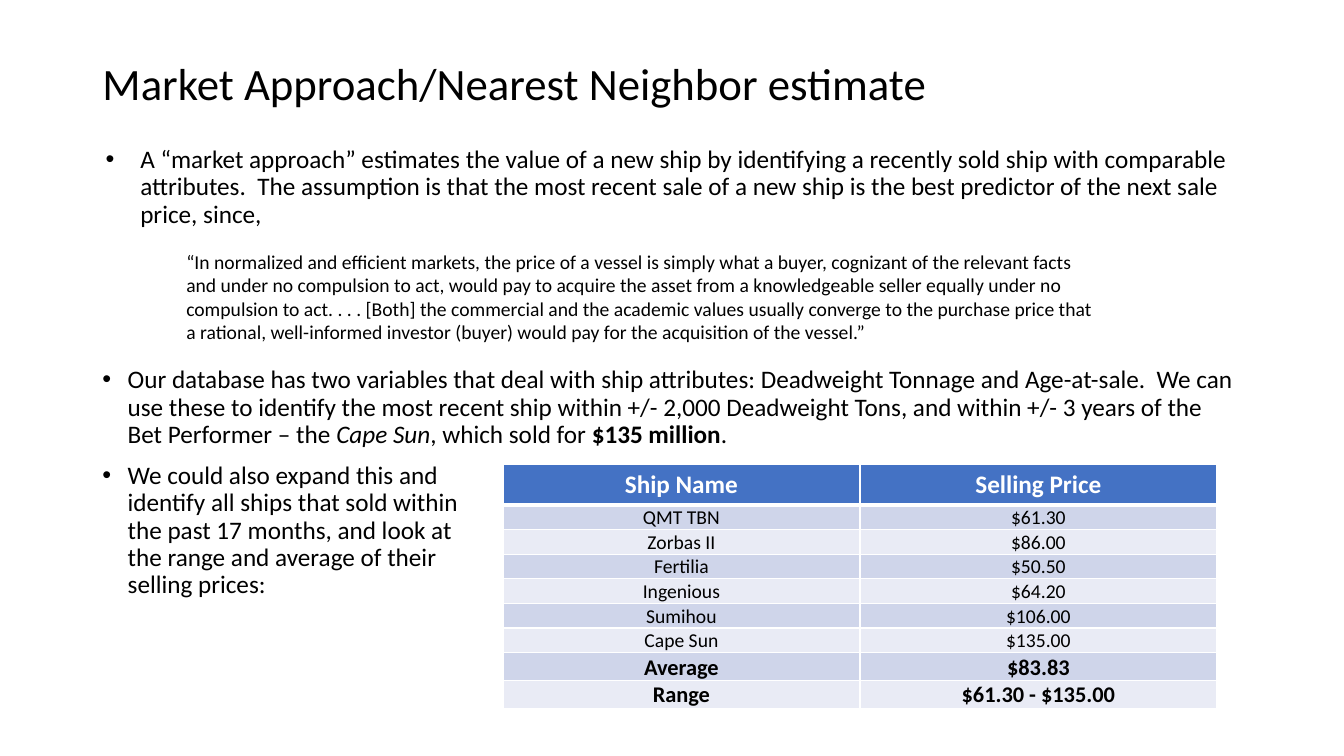
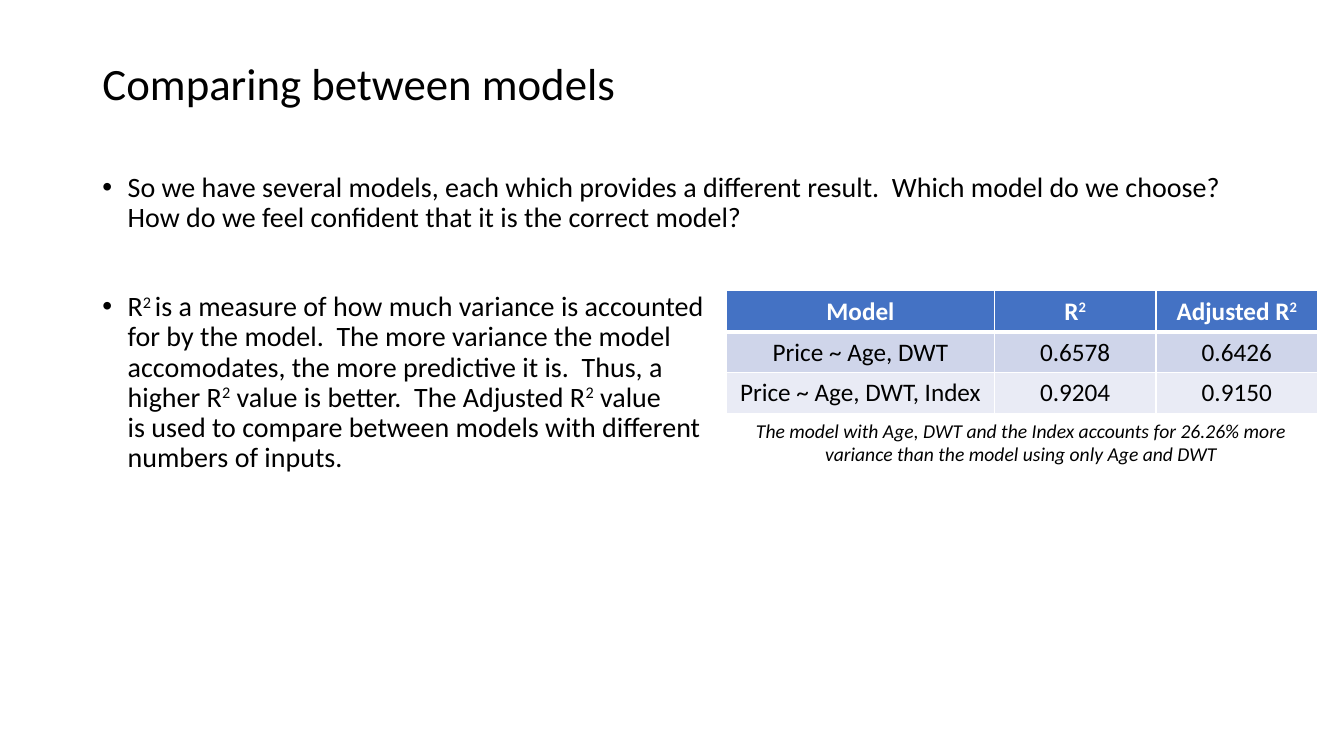
from lxml import etree
from pptx import Presentation
from pptx import util as u
from pptx.dml.color import RGBColor
from pptx.enum import text as t
from pptx.oxml.ns import qn

PX = 9525
FONT = "Calibri"
BLACK = RGBColor(0x00, 0x00, 0x00)
WHITE = RGBColor(0xFF, 0xFF, 0xFF)
HEADER = RGBColor(0x44, 0x72, 0xC4)
BANDS = [RGBColor(0xCF, 0xD5, 0xEA), RGBColor(0xE9, 0xEB, 0xF5)]

SLIDE_SIZE = (1280, 720)
TITLE_AREA = (88, 28, 1104, 108)
CELL_INSET = (10, 5, 10, 5)
TIGHT_INSET = (1, 1, 1, 0)
SQUARED = ("2", "super")

MARKET = {
    "title": "Market Approach/Nearest Neighbor estimate",
    "body_area": (88, 135, 1104, 489),
    "body_size": 18,
    "bullets": [
        {"before": 0, "margin": 36, "hang": 33, "spans": [
            ("A “market approach” estimates the value of a new ship by identifying a recently "
             "sold ship with comparable attributes.  The assumption is that the most recent sale "
             "of a new ship is the best predictor of the next sale price, since,", "")]},
        {"before": 99, "margin": 24, "hang": 24, "spans": [
            ("Our database has two variables that deal with ship attributes: Deadweight Tonnage "
             "and Age-at-sale.  We can use these to identify the most recent ship within "
             "+/- 2,000 Deadweight Tons, and within +/- 3 years of the Bet Performer – the ", ""),
            ("Cape Sun", "italic"), (", which sold for ", ""),
            ("$135 million", "bold"), (".", "")]},
        {"before": 10, "margin": 24, "hang": 24, "spans": [
            ("We could also expand this and\nidentify all ships that sold within\n"
             "the past 17 months, and look at\nthe range and average of their\n"
             "selling prices:", "")]},
    ],
    "note": {"area": (168, 233, 885, 100), "align": t.PP_ALIGN.LEFT, "style": "", "text": (
        "“In normalized and efficient markets, the price of a vessel is simply what a buyer, "
        "cognizant of the relevant facts and under no compulsion to act, would pay to acquire "
        "the asset from a knowledgeable seller equally under no compulsion to act. . . . [Both] "
        "the commercial and the academic values usually converge to the purchase price that a "
        "rational, well-informed investor (buyer) would pay for the acquisition of the vessel.”")},
    "table": {
        "origin": (479, 442), "columns": [340, 340], "anchor": t.MSO_ANCHOR.MIDDLE,
        "inset": TIGHT_INSET, "header": ["Ship Name", "Selling Price"], "header_height": 39,
        "groups": [
            {"height": 23, "size": 14, "style": "", "rows": [
                ("QMT TBN", "$61.30"), ("Zorbas II", "$86.00"), ("Fertilia", "$50.50"),
                ("Ingenious", "$64.20"), ("Sumihou", "$106.00"), ("Cape Sun", "$135.00")]},
            {"height": 26, "size": 16, "style": "bold", "rows": [
                ("Average", "$83.83"), ("Range", "$61.30 - $135.00")]},
        ],
    },
}

MODELS = {
    "title": "Comparing between models",
    "body_area": (88, 160, 1104, 489),
    "body_size": 20,
    "bullets": [
        {"before": 0, "margin": 24, "hang": 24, "spans": [
            ("So we have several models, each which provides a different result.  Which model do "
             "we choose?  How do we feel confident that it is the correct model?", "")]},
        {"before": 42, "margin": 24, "hang": 24, "spans": [
            ("R", ""), ("2 ", "super"),
            ("is a measure of how much variance is accounted\n"
             "for by the model.  The more variance the model\n"
             "accomodates, the more predictive it is.  Thus, a\nhigher R", ""), SQUARED,
            (" value is better.  The Adjusted R", ""), SQUARED,
            (" value\nis used to compare between models with different\n"
             "numbers of inputs.", "")]},
    ],
    "note": {"area": (688, 394, 569, 54), "align": t.PP_ALIGN.CENTER, "style": "italic", "text": (
        "The model with Age, DWT and the Index accounts for 26.26% more variance than the model "
        "using only Age and DWT")},
    "table": {
        "origin": (692, 277), "columns": [255, 154, 154], "anchor": t.MSO_ANCHOR.TOP,
        "inset": CELL_INSET,
        "header": ["Model", [("R", ""), SQUARED], [("Adjusted R", ""), SQUARED]],
        "header_height": 39,
        "groups": [
            {"height": 39, "size": 18, "style": "", "rows": [
                ("Price ~ Age, DWT", "0.6578", "0.6426"),
                ("Price ~ Age, DWT, Index", "0.9204", "0.9150")]},
        ],
    },
}


def px(lengths):
    return [length * PX for length in lengths]


def place(shape, area):
    shape.left, shape.top, shape.width, shape.height = px(area)


def write(para, spans, size, color=BLACK, base=""):
    if isinstance(spans, str):
        spans = [(spans, "")]
    for words, style in spans:
        for index, line in enumerate(words.split("\n")):
            if index:
                para.add_line_break()
                etree.SubElement(para._p[-1], qn("a:rPr"), sz=str(size * 100))
            span = para.add_run()
            span.text = line
            font = span.font
            font.name, font.size, font.color.rgb = FONT, u.Pt(size), color
            font.bold = "bold" in (style, base)
            font.italic = "italic" in (style, base)
            if style == "super":
                span._r.get_or_add_rPr().set("baseline", "30000")


def add_bullets(body, bullets, size):
    frame = body.text_frame
    frame.auto_size = t.MSO_AUTO_SIZE.NONE
    for index, bullet in enumerate(bullets):
        para = frame.add_paragraph() if index else frame.paragraphs[0]
        properties = para._p.get_or_add_pPr()
        properties.set("marL", str(bullet["margin"] * PX))
        properties.set("indent", str(-bullet["hang"] * PX))
        para.line_spacing = 0.9
        para.space_before = u.Pt(bullet["before"])
        write(para, bullet["spans"], size)


def add_note(page, note):
    box = page.shapes.add_textbox(*px(note["area"]))
    box.text_frame.word_wrap = True
    para = box.text_frame.paragraphs[0]
    para.alignment = note["align"]
    write(para, note["text"], 14, base=note["style"])


def add_borders(cell, bottom):
    widths = {"lnL": 1, "lnR": 1, "lnT": 1, "lnB": bottom}
    properties = cell._tc.get_or_add_tcPr()
    for index, (side, width) in enumerate(widths.items()):
        line = etree.Element(qn("a:" + side), w=str(u.Pt(width)))
        fill = etree.SubElement(line, qn("a:solidFill"))
        etree.SubElement(fill, qn("a:srgbClr"), val=str(WHITE))
        properties.insert(index, line)


def fill_cell(cell, spans, size, color, style, fill, inset, anchor, bottom):
    cell.margin_left, cell.margin_top, cell.margin_right, cell.margin_bottom = px(inset)
    cell.vertical_anchor = anchor
    cell.fill.solid()
    cell.fill.fore_color.rgb = fill
    add_borders(cell, bottom)
    para = cell.text_frame.paragraphs[0]
    para.alignment = t.PP_ALIGN.CENTER
    write(para, spans, size, color, style)


def add_grid(page, data):
    rows = [(data["header"], data["header_height"], 18, WHITE, "bold", HEADER, CELL_INSET, 3)]
    for group in data["groups"]:
        for values in group["rows"]:
            band = BANDS[(len(rows) - 1) % 2]
            rows.append((values, group["height"], group["size"], BLACK, group["style"],
                         band, data["inset"], 1))
    size = (sum(data["columns"]), sum(row[1] for row in rows))
    table = page.shapes.add_table(len(rows), len(data["columns"]),
                                  *px(data["origin"] + size)).table
    for column, width in zip(table.columns, px(data["columns"])):
        column.width = width
    for row, (values, height, points, color, style, fill, inset, bottom) in zip(table.rows, rows):
        row.height = height * PX
        for cell, value in zip(row.cells, values):
            fill_cell(cell, value, points, color, style, fill, inset, data["anchor"], bottom)


def add_page(deck, content):
    page = deck.slides.add_slide(deck.slide_layouts[1])
    title, body = page.placeholders
    place(title, TITLE_AREA)
    title.text_frame.auto_size = t.MSO_AUTO_SIZE.NONE
    title.text_frame.vertical_anchor = t.MSO_ANCHOR.MIDDLE
    para = title.text_frame.paragraphs[0]
    para.alignment = t.PP_ALIGN.LEFT
    para.line_spacing = 0.9
    write(para, content["title"], 32)
    place(body, content["body_area"])
    add_bullets(body, content["bullets"], content["body_size"])
    add_note(page, content["note"])
    add_grid(page, content["table"])


def main():
    deck = Presentation()
    deck.slide_width, deck.slide_height = px(SLIDE_SIZE)
    for content in (MARKET, MODELS):
        add_page(deck, content)
    deck.save("out.pptx")


if __name__ == "__main__":
    main()
